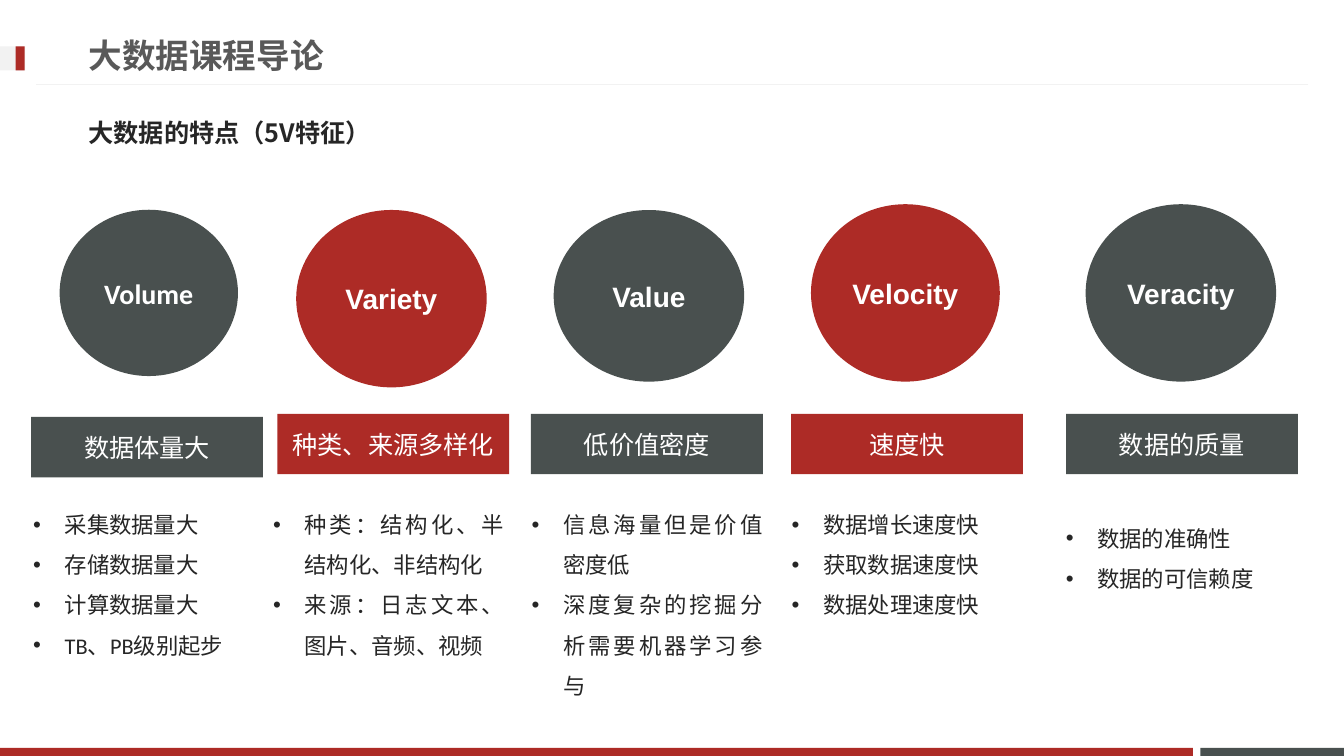
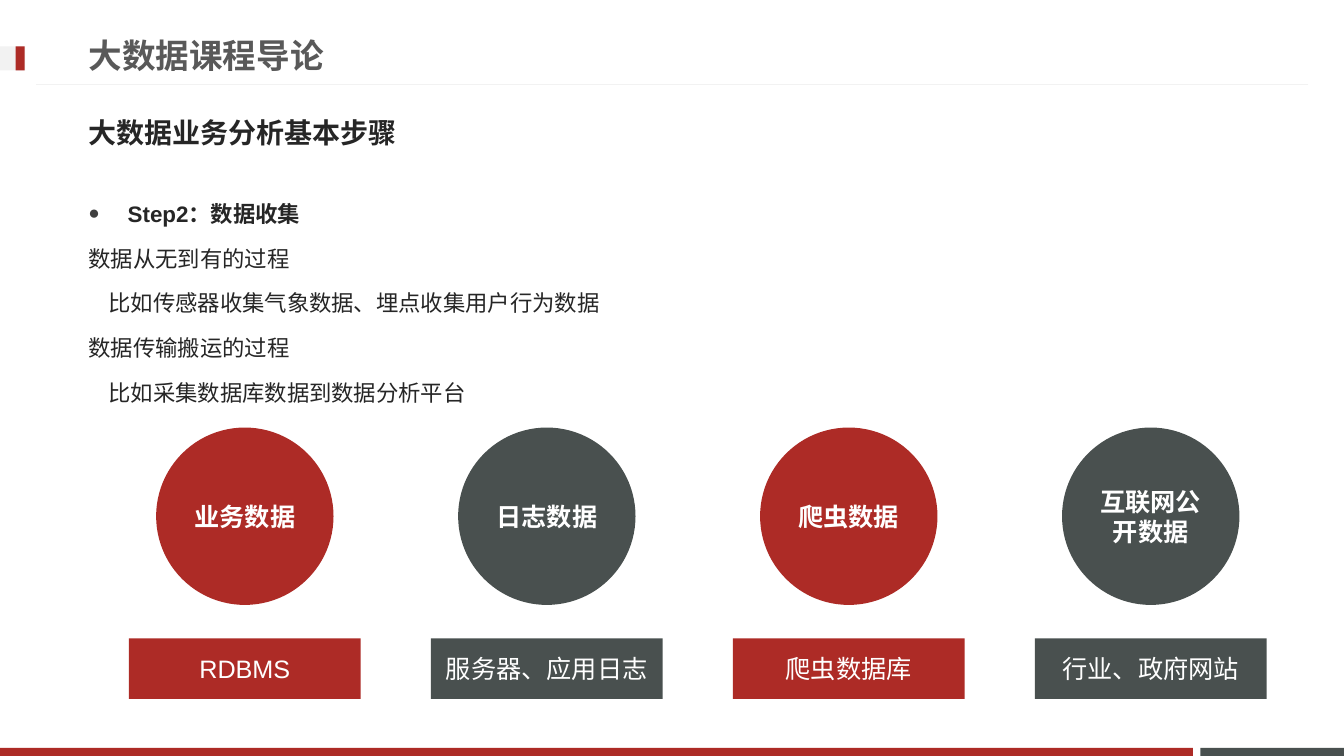
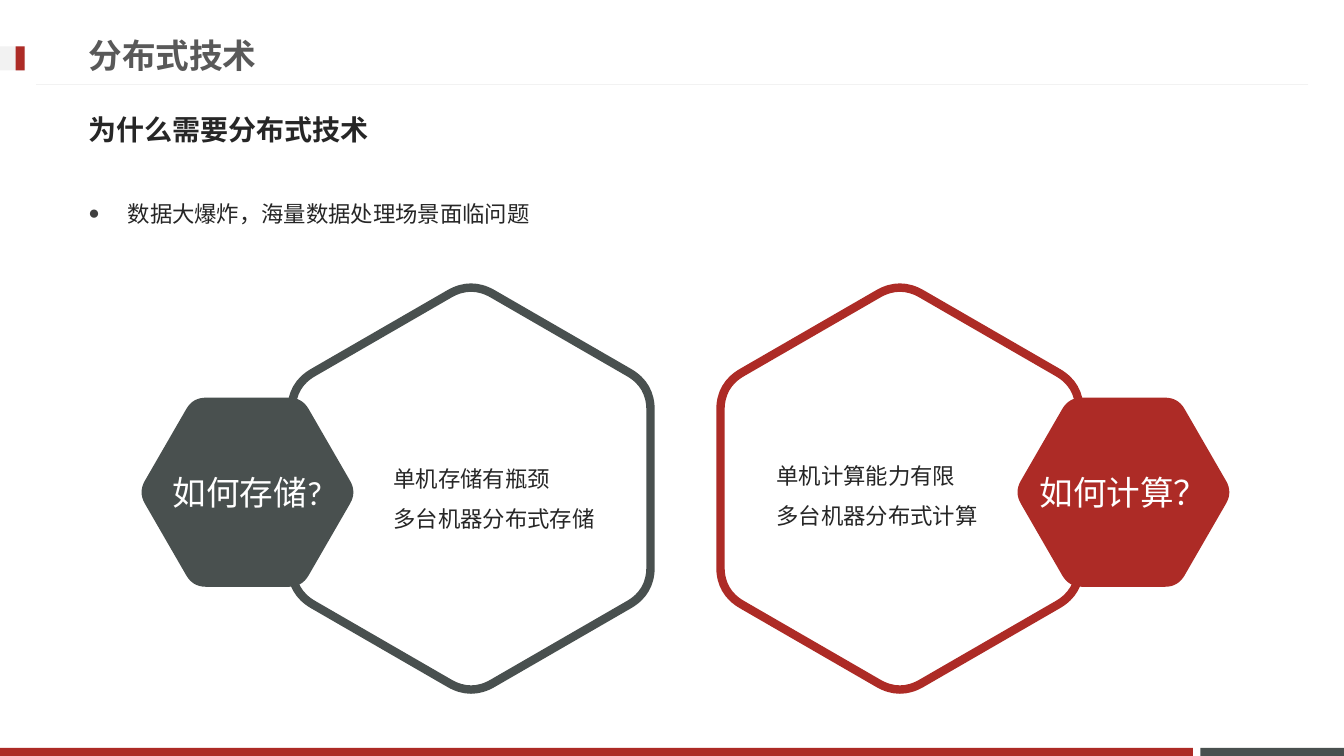
from math import cos, radians, sin

from lxml import etree
from pptx import Presentation
from pptx.dml.color import RGBColor
from pptx.enum.shapes import MSO_CONNECTOR, MSO_SHAPE
from pptx.enum.text import MSO_ANCHOR, MSO_AUTO_SIZE, PP_ALIGN
from pptx.oxml.ns import qn
from pptx.util import Pt

RECTANGLE, ELLIPSE = MSO_SHAPE.RECTANGLE, MSO_SHAPE.OVAL
STRAIGHT = MSO_CONNECTOR.STRAIGHT
TOP, MIDDLE = MSO_ANCHOR.TOP, MSO_ANCHOR.MIDDLE
LEFT, CENTER, JUSTIFY = PP_ALIGN.LEFT, PP_ALIGN.CENTER, PP_ALIGN.JUSTIFY

RED, SLATE, WHITE, PALE = "AD2B26", "49504F", "FFFFFF", "F2F2F2"
TITLE_GREY, TEXT_DARK, BULLET_GREY = "595959", "262626", "404040"
ARIAL, CALIBRI, NOTO = "Arial", "Calibri", "Noto Sans CJK JP"

ONE_CONTENT, TWO_CONTENTS = 1, 3
BANNER_WIDTH, BANNER_HEIGHT = 165.6, 43.2
HEXAGON_CUT = 0.12
BODY_BOX = (56, 129.6, 846.7, 332)


def color(hex_value):
    return RGBColor.from_string(hex_value)


def place(shape, box):
    shape.left, shape.top, shape.width, shape.height = map(Pt, box)


def paint(shape, fill, line=None, line_width=0):
    shape.shadow.inherit = False
    shape.fill.solid()
    shape.fill.fore_color.rgb = color(fill)
    if line:
        shape.line.color.rgb = color(line)
        shape.line.width = Pt(line_width)
    else:
        shape.line.fill.background()


def add_block(slide, kind, box, fill):
    shape = slide.shapes.add_shape(kind, *map(Pt, box))
    paint(shape, fill)
    return shape


def prepare_frame(shape, anchor, side_inset=7.2):
    frame = shape.text_frame
    frame.word_wrap = True
    frame.auto_size = MSO_AUTO_SIZE.NONE
    frame.vertical_anchor = anchor
    frame.margin_left = frame.margin_right = Pt(side_inset)
    frame.margin_top = frame.margin_bottom = Pt(3.6)
    return frame


def set_bullet(paragraph, bullet, indent, bullet_color, bullet_percent):
    """Hang the bullet in the indent, or indent the whole paragraph if there is none."""
    properties = paragraph._p.get_or_add_pPr()
    properties.set("marL", str(Pt(indent)))
    properties.set("indent", str(-Pt(indent) if bullet else 0))
    if not bullet:
        etree.SubElement(properties, qn("a:buNone"))
        return
    holder = etree.SubElement(properties, qn("a:buClr"))
    etree.SubElement(holder, qn("a:srgbClr")).set("val", bullet_color)
    etree.SubElement(properties, qn("a:buSzPct")).set("val", str(bullet_percent * 1000))
    etree.SubElement(properties, qn("a:buFont")).set("typeface", ARIAL)
    etree.SubElement(properties, qn("a:buChar")).set("char", bullet)


def add_text(frame, text, size, text_color, font=ARIAL, bold=False, align=LEFT,
             spacing=1.0, before=0, bullet=None, indent=0,
             bullet_color=TEXT_DARK, bullet_percent=100):
    """Write one paragraph, using the frame's empty first one if it is free."""
    paragraph = frame.paragraphs[0]
    if paragraph.runs:
        paragraph = frame.add_paragraph()
        paragraph.space_before = Pt(before)
    else:
        paragraph.space_before = Pt(0)
    set_bullet(paragraph, bullet, indent, bullet_color, bullet_percent)
    paragraph.alignment = align
    paragraph.line_spacing = spacing
    run = paragraph.add_run()
    run.text = text
    run.font.size = Pt(size)
    run.font.bold = bold
    run.font.color.rgb = color(text_color)
    run.font.name = font
    east_asian = etree.SubElement(run._r.get_or_add_rPr(), qn("a:ea"))
    east_asian.set("typeface", CALIBRI)


def add_label(shape, text, size, font=ARIAL, bold=False, side_inset=7.2):
    frame = prepare_frame(shape, MIDDLE, side_inset)
    add_text(frame, text, size, WHITE, font, bold, CENTER)


def decorate_master(presentation, slide):
    """Draw the shared bands on a slide, then move them to the slide master."""
    blocks = [
        ((857.5, 534.2, 102.5, 5.8), SLATE),
        ((0, 534.2, 852, 5.8), RED),
        ((0, 33.1, 18, 17.3), PALE),
        ((11.2, 33.1, 6.5, 17.3), RED),
    ]
    parts = [add_block(slide, RECTANGLE, box, fill) for box, fill in blocks]
    rule = slide.shapes.add_connector(STRAIGHT, Pt(934.6), Pt(60.5), Pt(25.5), Pt(60.5))
    rule.line.color.rgb = color(PALE)
    rule.line.width = Pt(0.75)
    etree.SubElement(rule.element.spPr, qn("a:effectLst"))
    master_tree = presentation.slide_master.shapes.element
    for number, part in enumerate(parts + [rule]):
        part.element.xpath(".//p:cNvPr")[0].set("id", str(101 + number))
        master_tree.insert(2 + number, part.element)


def add_page(presentation, layout, title, subtitle, subtitle_size=20,
             subtitle_font=ARIAL, subtitle_top=74.2):
    slide = presentation.slides.add_slide(presentation.slide_layouts[layout])
    place(slide.shapes.title, (56, 18.8, 690.5, 41))
    add_text(prepare_frame(slide.shapes.title, MIDDLE), title, 24, TITLE_GREY, bold=True)
    heading = slide.placeholders[1]
    place(heading, (56, subtitle_top, 846.7, 41))
    add_text(prepare_frame(heading, MIDDLE), subtitle, subtitle_size, TEXT_DARK,
             subtitle_font, bold=True)
    return slide


def fill_body(slide, lead, lead_bold, lines=()):
    body = slide.placeholders[2]
    place(body, BODY_BOX)
    frame = prepare_frame(body, TOP)
    add_text(frame, lead, 16, TEXT_DARK, bold=lead_bold, spacing=1.5, bullet="●",
             indent=28, bullet_color=BULLET_GREY, bullet_percent=85)
    for text, indent in lines:
        add_text(frame, text, 16, TEXT_DARK, spacing=1.5, before=3.2, indent=indent)


def draw_card(slide, box, fill, circle_size, circle_text, text_size, banner_text,
              font=ARIAL, circle_shift=0):
    """A circle at the top of the box and a banner along its bottom."""
    left, top, width, height = box
    circle_width, circle_height = circle_size
    circle_left = left + (width - circle_width) / 2 + circle_shift
    circle = add_block(slide, ELLIPSE, (circle_left, top, circle_width, circle_height), fill)
    add_label(circle, circle_text, text_size, font, bold=True)
    banner_box = (left, top + height - BANNER_HEIGHT, width, BANNER_HEIGHT)
    banner = add_block(slide, RECTANGLE, banner_box, fill)
    add_label(banner, banner_text, 18, side_inset=0)


def draw_list(slide, box, items, font):
    frame = prepare_frame(slide.shapes.add_textbox(*map(Pt, box)), TOP)
    for item in items:
        add_text(frame, item, 16, TEXT_DARK, font, align=JUSTIFY, spacing=1.5,
                 bullet="•", indent=22.5)


def between(first, second, share):
    return tuple(a + share * (b - a) for a, b in zip(first, second))


def round_corners(shape, curves):
    """Replace the two lines that cut each corner by one cubic curve."""
    lines = shape.element.xpath(".//a:path/a:lnTo")
    for index, curve in enumerate(curves):
        middle_line, end_line = lines[3 * index:3 * index + 2]
        bezier = etree.Element(qn("a:cubicBezTo"))
        for x, y in curve:
            point = etree.SubElement(bezier, qn("a:pt"))
            point.set("x", str(Pt(x) - shape.left))
            point.set("y", str(Pt(y) - shape.top))
        path_element = middle_line.getparent()
        path_element.replace(middle_line, bezier)
        path_element.remove(end_line)


def draw_hexagon(slide, center, radius, first_angle):
    """A regular hexagon with rounded corners."""
    center_x, center_y = center
    angles = [radians(first_angle + 60 * step) for step in range(6)]
    corners = [(center_x + radius * cos(a), center_y + radius * sin(a)) for a in angles]
    points, curves = [], []
    for index, corner in enumerate(corners):
        start = between(corner, corners[index - 1], HEXAGON_CUT)
        end = between(corner, corners[(index + 1) % 6], HEXAGON_CUT)
        crest = between(corner, between(start, end, 0.5), 0.5)
        points += [start, crest, end]
        curves.append([between(start, corner, 2 / 3), between(end, corner, 2 / 3), end])
    vertices = [tuple(map(Pt, point)) for point in points]
    builder = slide.shapes.build_freeform(*vertices[0])
    builder.add_line_segments(vertices[1:], close=True)
    shape = builder.convert_to_shape()
    round_corners(shape, curves)
    return shape


def draw_question(slide, box, fill, label, lines, text_offset, mirrored):
    """An outlined hexagon of answers with a filled hexagon on its outer side."""
    left, top, width, height = box
    middle = top + height / 2

    def across(offset):
        return left + (width - offset if mirrored else offset)

    outline = draw_hexagon(slide, (across(236), middle), height / 2, 30)
    paint(outline, WHITE, fill, 6)
    badge = draw_hexagon(slide, (across(76.3), middle + 2.6), 78, 0)
    paint(badge, fill)
    add_label(badge, label, 24, CALIBRI)
    text_left, text_top = text_offset
    answer = slide.shapes.add_textbox(
        Pt(left + text_left), Pt(top + text_top), Pt(170), Pt(65.5))
    frame = prepare_frame(answer, MIDDLE)
    for line in lines:
        add_text(frame, line, 16, TEXT_DARK, spacing=1.5)


def build_features(presentation):
    slide = add_page(presentation, ONE_CONTENT, "大数据课程导论",
                     "大数据的特点（5V特征）", 18, NOTO)
    decorate_master(presentation, slide)
    # left, top, bottom, circle size, circle shift, circle text, banner, font,
    # list left, list top, items
    columns = [
        (22.3, 149.8, 341, (127.4, 118.8), 1.2, "Volume", "数据体量大", CALIBRI,
         16.6, 351.9, ["采集数据量大", "存储数据量大", "计算数据量大", "TB、PB级别起步"]),
        (198.2, 150, 338.8, (136.1, 126.7), -1.4, "Variety", "种类、来源多样化", ARIAL,
         188, 351.9, ["种类：结构化、半结构化、非结构化", "来源：日志文本、图片、音频、视频"]),
        (379.3, 150, 338.8, (136.1, 122.6), 1.4, "Value", "低价值密度", ARIAL,
         372.6, 351.9, ["信息海量但是价值密度低", "深度复杂的挖掘分析需要机器学习参与"]),
        (565.1, 145.9, 338.8, (134.9, 126.7), -1.2, "Velocity", "速度快", ARIAL,
         558.3, 351.9, ["数据增长速度快", "获取数据速度快", "数据处理速度快"]),
        (761.5, 145.9, 338.8, (136.1, 126.7), -0.8, "Veracity", "数据的质量", ARIAL,
         754.2, 361.8, ["数据的准确性", "数据的可信赖度"]),
    ]
    for index, column in enumerate(columns):
        (left, top, bottom, circle_size, circle_shift, name, banner, font,
         list_left, list_top, items) = column
        draw_card(slide, (left, top, BANNER_WIDTH, bottom - top), (SLATE, RED)[index % 2],
                  circle_size, name, 20, banner, font, circle_shift)
        draw_list(slide, (list_left, list_top, 179.3, 152.6), items, font)


def build_collection(presentation):
    slide = add_page(presentation, TWO_CONTENTS, "大数据课程导论", "大数据业务分析基本步骤")
    fill_body(slide, "Step2：数据收集", True, [
        ("数据从无到有的过程", 0),
        ("比如传感器收集气象数据、埋点收集用户行为数据", 14.3),
        ("数据传输搬运的过程", 0),
        ("比如采集数据库数据到数据分析平台", 14.3),
    ])
    sources = [
        ("业务数据", "RDBMS"),
        ("日志数据", "服务器、应用日志"),
        ("爬虫数据", "爬虫数据库"),
        ("互联网公开数据", "行业、政府网站"),
    ]
    for index, (source, banner) in enumerate(sources):
        box = (92.1 + 215.7 * index, 305.4, BANNER_WIDTH, 193.9)
        draw_card(slide, box, (RED, SLATE)[index % 2], (126.7, 126.7), source, 18, banner)


def build_distributed(presentation):
    slide = add_page(presentation, TWO_CONTENTS, "分布式技术", "为什么需要分布式技术",
                     subtitle_top=72)
    fill_body(slide, "数据大爆炸，海量数据处理场景面临问题", False)
    draw_question(slide, (100.5, 201, 365.3, 296), SLATE, "如何存储?",
                  ["单机存储有瓶颈", "多台机器分布式存储"], (173.5, 117.4), False)
    draw_question(slide, (513.5, 201, 365.3, 296), RED, "如何计算？",
                  ["单机计算能力有限", "多台机器分布式计算"], (34.1, 115.4), True)


def main():
    presentation = Presentation()
    presentation.slide_width, presentation.slide_height = Pt(960), Pt(540)
    build_features(presentation)
    build_collection(presentation)
    build_distributed(presentation)
    presentation.save("out.pptx")


if __name__ == "__main__":
    main()
